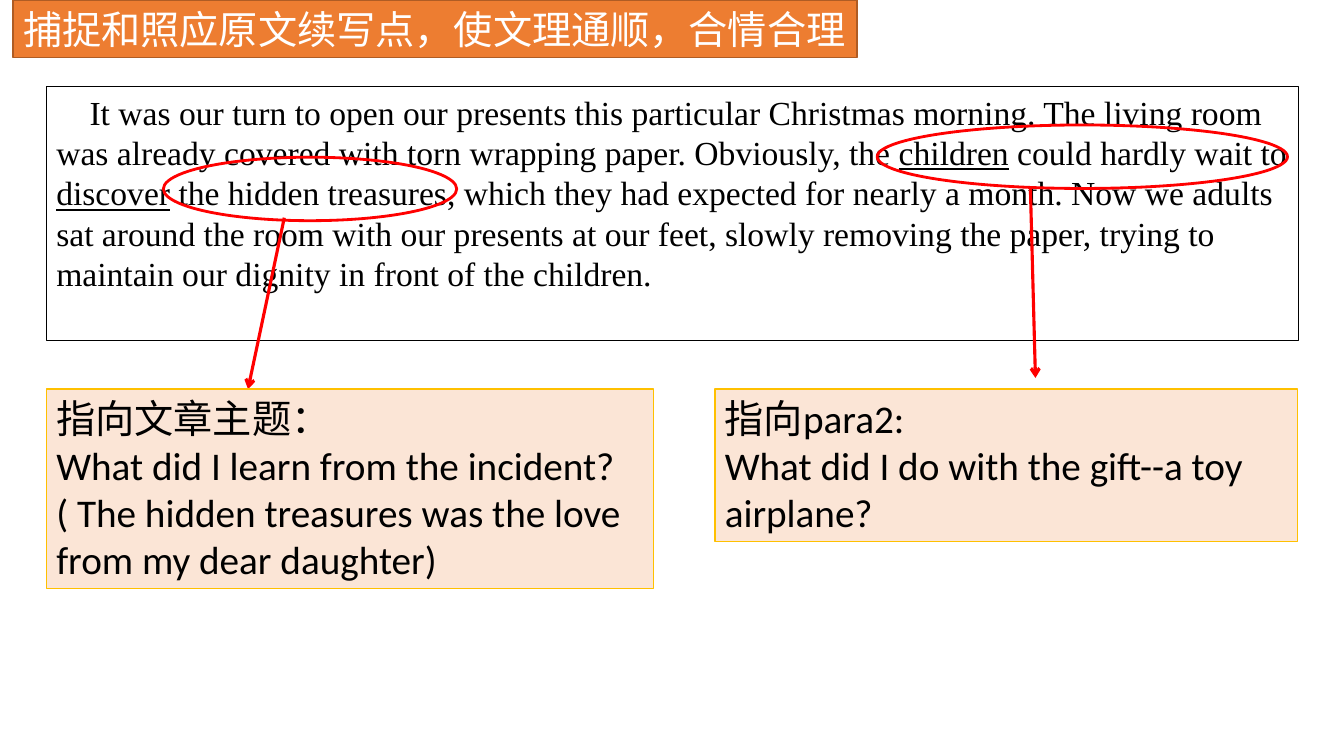
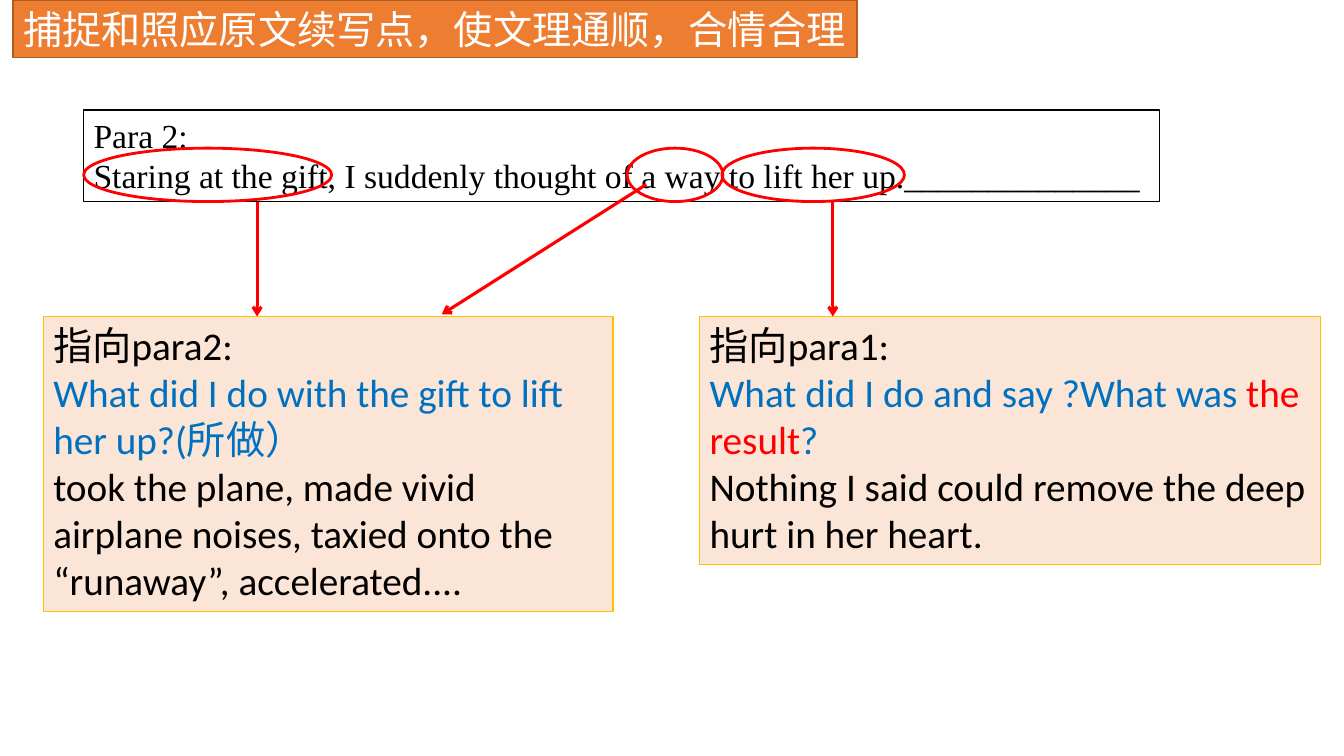
from lxml.etree import SubElement
from pptx import Presentation
from pptx.dml.color import RGBColor
from pptx.enum.shapes import MSO_CONNECTOR, MSO_SHAPE
from pptx.enum.text import MSO_ANCHOR, MSO_AUTO_SIZE, PP_ALIGN
from pptx.oxml.ns import qn
from pptx.util import Inches, Pt

ORANGE = RGBColor(0xED, 0x7D, 0x31)
BROWN = RGBColor(0xAF, 0x5C, 0x24)
PEACH = RGBColor(0xFB, 0xE5, 0xD6)
GOLD = RGBColor(0xFF, 0xC0, 0x00)
RED = RGBColor(0xFF, 0x00, 0x00)
BLUE = RGBColor(0x00, 0x70, 0xC0)
BLACK = RGBColor(0x00, 0x00, 0x00)
WHITE = RGBColor(0xFF, 0xFF, 0xFF)

HEADING = "捕捉和照应原文续写点，使文理通顺，合情合理"


class LessonDeck:
    def __init__(self):
        self.presentation = Presentation()
        self.presentation.slide_width = Inches(13.33)
        self.presentation.slide_height = Inches(7.5)
        self.slide = None

    def new_slide(self):
        layout = self.presentation.slide_layouts[5]
        self.slide = self.presentation.slides.add_slide(layout)
        heading = self.slide.shapes.title
        heading.left, heading.top = Inches(0.13), Inches(0)
        heading.width, heading.height = Inches(8.37), Inches(0.57)
        self.paint(heading, ORANGE, BROWN, 1)
        self.set_text(heading, [HEADING], "Calibri", 28, WHITE)
        heading.text_frame.word_wrap = False
        heading.text_frame.vertical_anchor = MSO_ANCHOR.MIDDLE

    def paint(self, shape, fill, line, width):
        if fill is None:
            shape.fill.background()
        else:
            shape.fill.solid()
            shape.fill.fore_color.rgb = fill
        shape.line.color.rgb = line
        shape.line.width = Pt(width)

    def set_text(self, shape, paragraphs, font, size, color, indent=0):
        frame = shape.text_frame
        frame.word_wrap = True
        frame.auto_size = MSO_AUTO_SIZE.NONE
        frame.vertical_anchor = MSO_ANCHOR.TOP
        for index, content in enumerate(paragraphs):
            paragraph = frame.add_paragraph() if index else frame.paragraphs[0]
            paragraph.alignment = PP_ALIGN.LEFT
            if indent:
                paragraph._p.get_or_add_pPr().set("indent", str(Inches(indent)))
            paragraph.font.name = font
            paragraph.font.size = Pt(size)
            parts = [(content, {})] if isinstance(content, str) else content
            colors = {style.get("color", color) for _, style in parts}
            mixed = len(colors) > 1
            if not mixed:
                paragraph.font.color.rgb = colors.pop()
            for text, style in parts:
                run = paragraph.add_run()
                run.text = text
                if mixed:
                    run.font.color.rgb = style.get("color", color)
                if style.get("underline"):
                    run.font.underline = True

    def outline(self, preset, left, top, width, height, fill, line, weight):
        shape = self.slide.shapes.add_shape(
            preset, Inches(left), Inches(top), Inches(width), Inches(height))
        shape.shadow.inherit = False
        self.paint(shape, fill, line, weight)
        return shape

    def passage(self, left, top, width, height, paragraphs, indent=0):
        box = self.outline(MSO_SHAPE.RECTANGLE, left, top, width, height, WHITE, BLACK, 1)
        self.set_text(box, paragraphs, "Times New Roman", 24, BLACK, indent)

    def callout(self, left, top, width, height, paragraphs):
        box = self.outline(MSO_SHAPE.RECTANGLE, left, top, width, height, PEACH, GOLD, 1)
        self.set_text(box, paragraphs, "Calibri", 28, BLACK)

    def ring(self, left, top, width, height):
        self.outline(MSO_SHAPE.OVAL, left, top, width, height, None, RED, 2)

    def arrow(self, start, end):
        connector = self.slide.shapes.add_connector(
            MSO_CONNECTOR.STRAIGHT, *(Inches(value) for value in start + end))
        connector.line.color.rgb = RED
        connector.line.width = Pt(2.25)
        properties = connector._element.spPr
        SubElement(properties.get_or_add_ln(), qn("a:tailEnd"), type="arrow")
        SubElement(properties, qn("a:effectLst"))


def build_opening(deck):
    deck.new_slide()
    underlined = {"underline": True}
    deck.passage(0.46, 0.86, 12.42, 2.52, [[
        ("It was our turn to open our presents this particular Christmas morning. "
         "The living room was already covered with torn wrapping paper. Obviously, the ", {}),
        ("children", underlined),
        (" could hardly wait to ", {}),
        ("discover", underlined),
        (" the hidden treasures, which they had expected for nearly a month. "
         "Now we adults sat around the room with our presents at our feet, slowly "
         "removing the paper, trying to maintain our dignity in front of the children.", {}),
    ]], indent=0.33)
    deck.ring(1.62, 1.56, 2.91, 0.63)
    deck.arrow((2.82, 2.16), (2.46, 3.86))
    deck.callout(0.46, 3.86, 6.02, 1.98, [
        "指向文章主题：",
        "What did I learn from the incident?",
        "( The hidden treasures was the love from my dear daughter)",
    ])
    deck.ring(8.7, 1.24, 4.07, 0.63)
    deck.arrow((10.22, 1.87), (10.27, 3.75))
    deck.callout(7.09, 3.86, 5.78, 1.51, [
        "指向para2:",
        "What did I do with the gift--a toy airplane?",
    ])


def build_second_paragraph(deck):
    deck.new_slide()
    deck.passage(0.83, 1.09, 10.67, 0.91, [
        "Para 2:",
        "Staring at the gift, I suddenly thought of a way to lift her up.______________",
    ])
    for left, width in ((0.83, 2.46), (6.22, 0.95), (7.16, 1.81)):
        deck.ring(left, 1.47, width, 0.53)
    deck.callout(6.94, 3.14, 6.16, 2.46, [
        "指向para1:",
        [("What did I do and say ?What was ", {"color": BLUE}),
         ("the result", {"color": RED}),
         ("?", {"color": BLUE})],
        "Nothing I said could remove the deep hurt in her heart.",
    ])
    deck.callout(0.43, 3.14, 5.65, 2.93, [
        "指向para2:",
        [("What did I do with the gift to lift her up?(所做）", {"color": BLUE})],
        "took the plane, made vivid airplane noises, taxied onto the “runaway”, accelerated....",
    ])
    for x in (2.55, 8.26):
        deck.arrow((x, 2), (x, 3.14))
    deck.arrow((6.41, 1.83), (4.38, 3.12))


def main():
    deck = LessonDeck()
    build_opening(deck)
    build_second_paragraph(deck)
    deck.presentation.save("out.pptx")


if __name__ == "__main__":
    main()
